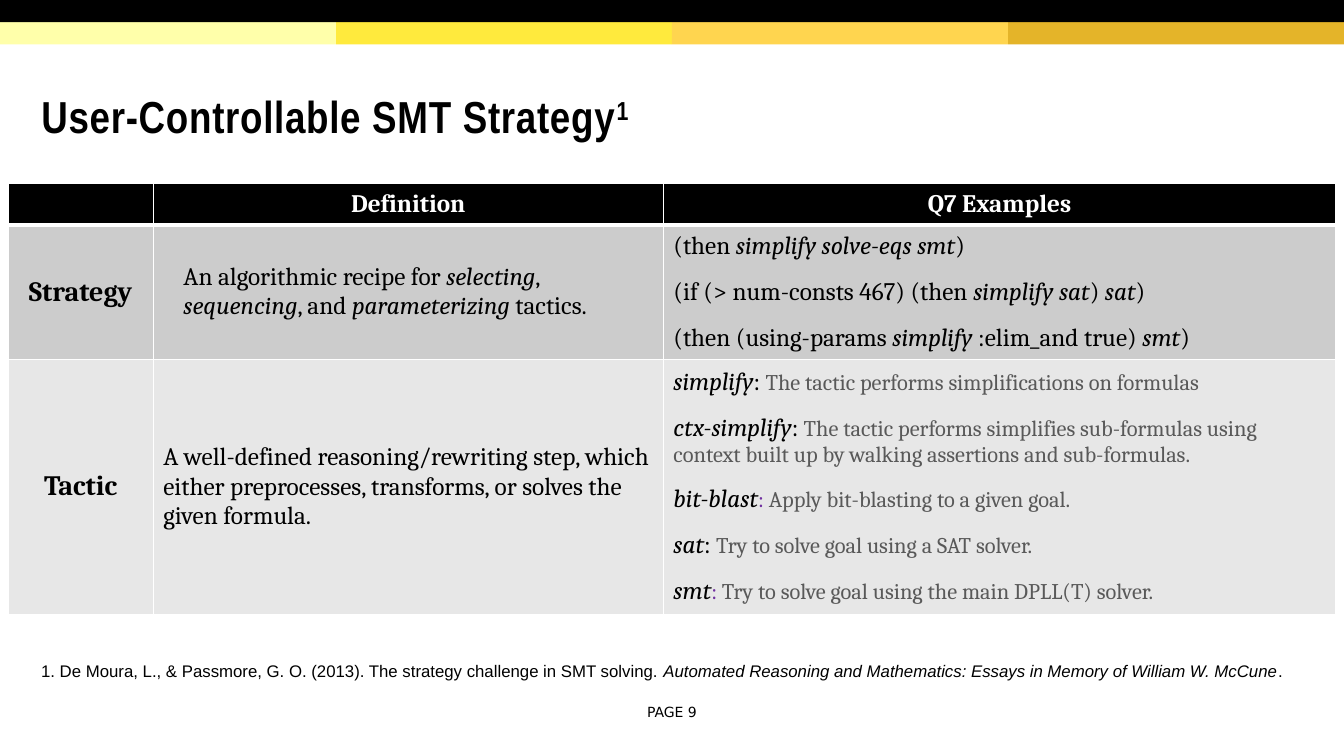
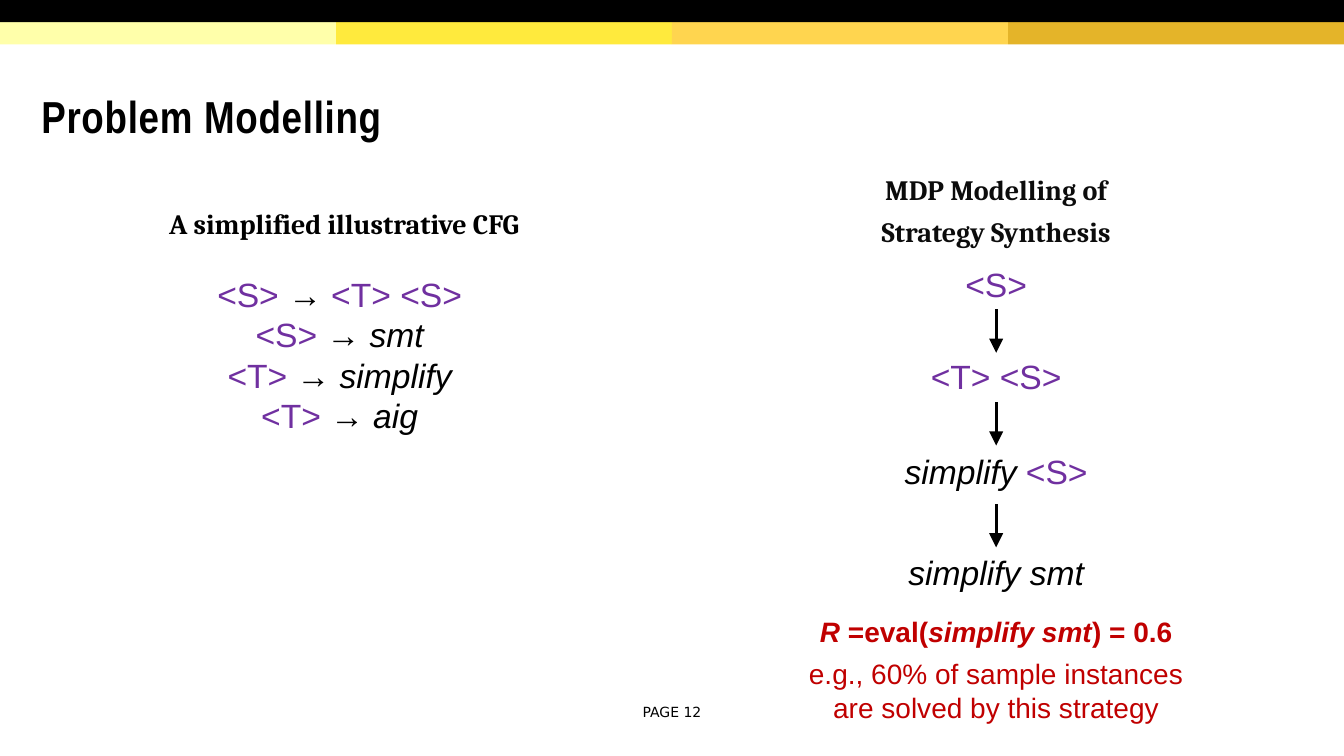
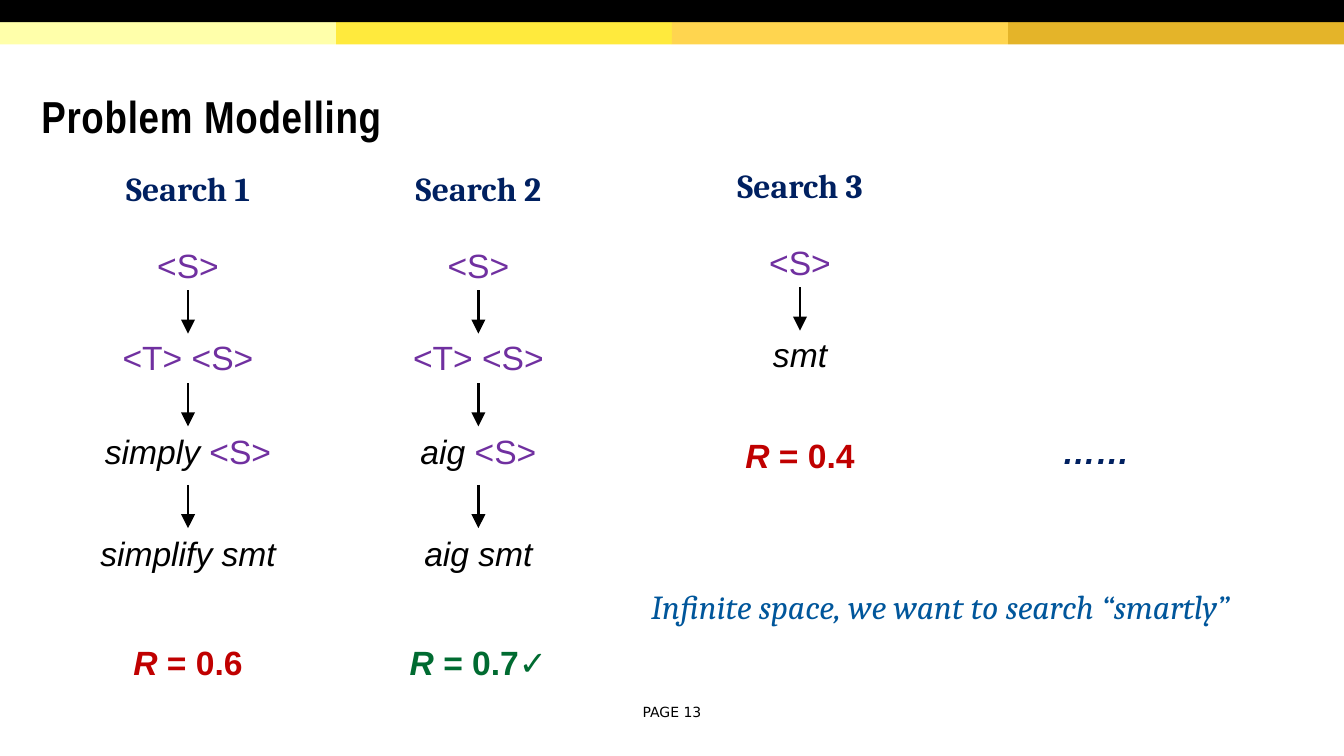
from dataclasses import dataclass
from lxml.etree import SubElement
from pptx import Presentation
from pptx.dml.color import RGBColor
from pptx.enum.shapes import MSO_CONNECTOR, MSO_SHAPE
from pptx.enum.text import MSO_ANCHOR, MSO_AUTO_SIZE, PP_ALIGN
from pptx.oxml.ns import qn
from pptx.util import Inches, Pt


@dataclass(frozen=True)
class Theme:
    black: str = "000000"
    white: str = "FFFFFF"
    bands: tuple = ("FFFFAA", "FFEA3D", "FFD54F", "E4B429")
    strategy_row: str = "CCCCCC"
    tactic_row: str = "E7E7E7"
    description: str = "595959"
    heading: str = "0C0C0C"
    symbol: str = "7030A0"
    search: str = "002060"
    reward: str = "C00000"
    best_reward: str = "006B31"
    remark: str = "00569B"
    title_font: str = "Arial Narrow"
    serif: str = "Cambria"
    sans: str = "Arial"
    page_font: str = "DejaVu Sans"
    title_size: int = 32
    formula_size: int = 24
    heading_size: int = 20
    table_size: int = 18
    description_size: int = 16
    citation_size: int = 12
    page_size: int = 10


@dataclass(frozen=True)
class Box:
    left: float
    top: float
    width: float
    height: float = 0.5

    def lengths(self):
        return [Inches(side) for side in (self.left, self.top, self.width, self.height)]


THEME = Theme()
SLIDE_WIDTH, SLIDE_HEIGHT = 13.33, 7.5
BAND_HEIGHT = 0.22
STEP_TOPS = (0, 0.91, 1.85, 2.86)
ARROW_TOPS = (0.5, 1.42, 2.43)
ARROW_LENGTH = 0.43

STRATEGIES = (
    "(then *simplify solve-eqs smt*)",
    "(if (> num-consts 467) (then *simplify sat*) *sat*)",
    "(then (using-params *simplify* :elim_and true) *smt*)",
)
TACTICS = (
    ("simplify", "The tactic performs simplifications on formulas", False),
    ("ctx-simplify", "The tactic performs simplifies sub-formulas using context "
     "built up by walking assertions and sub-formulas.", False),
    ("bit-blast", "Apply bit-blasting to a given goal.", True),
    ("sat", "Try to solve goal using a SAT solver.", False),
    ("smt", "Try to solve goal using the main DPLL(T) solver.", True),
)


def write(paragraph, text, size=THEME.formula_size, font=THEME.sans, color=THEME.black,
          bold=False, italic=False, align=None, after=None, spacing=None,
          tracking=None, baseline=None):
    if align is not None:
        paragraph.alignment = align
    if after is not None:
        paragraph.space_after = Pt(after)
    if spacing is not None:
        paragraph.line_spacing = spacing
    for index, part in enumerate(text.split("*")):
        if not part:
            continue
        run = paragraph.add_run()
        run.text = part
        run.font.size = Pt(size)
        run.font.name = font
        run.font.bold = bold
        run.font.italic = italic or index % 2 == 1
        run.font.color.rgb = RGBColor.from_string(color)
        for name, value in (("spc", tracking), ("baseline", baseline)):
            if value is not None:
                run._r.get_or_add_rPr().set(name, str(value))


def next_paragraph(frame):
    return frame.add_paragraph() if frame.text else frame.paragraphs[0]


def text_area(slide, box, anchor=MSO_ANCHOR.TOP):
    frame = slide.shapes.add_textbox(*box.lengths()).text_frame
    frame.word_wrap = True
    frame.vertical_anchor = anchor
    return frame


def label(slide, box, text, anchor=MSO_ANCHOR.TOP, align=PP_ALIGN.CENTER, **style):
    write(text_area(slide, box, anchor).paragraphs[0], text, align=align, **style)


def write_formula(paragraph, formula):
    paragraph.alignment = PP_ALIGN.CENTER
    for index, token in enumerate(formula.split(" ")):
        is_symbol = token.startswith("<")
        write(paragraph, " " + token if index else token,
              color=THEME.symbol if is_symbol else THEME.black,
              italic=not is_symbol and token != "→")


def draw_band(slide, box, color):
    band = slide.shapes.add_shape(MSO_SHAPE.RECTANGLE, *box.lengths())
    band.shadow.inherit = False
    band.fill.solid()
    band.fill.fore_color.rgb = RGBColor.from_string(color)
    band.line.fill.background()


def start_slide(deck, heading, page, note=""):
    slide = deck.slides.add_slide(deck.slide_layouts[5])
    band_width = SLIDE_WIDTH / len(THEME.bands)
    for index, color in enumerate(THEME.bands):
        draw_band(slide, Box(index * band_width, BAND_HEIGHT, band_width, BAND_HEIGHT), color)
    draw_band(slide, Box(0, 0, SLIDE_WIDTH, BAND_HEIGHT), THEME.black)

    title = slide.shapes.title
    title.left, title.top, title.width, title.height = Box(0.31, 0.7, 12.72, 0.98).lengths()
    title.text_frame.auto_size = MSO_AUTO_SIZE.NONE
    title.text_frame.vertical_anchor = MSO_ANCHOR.MIDDLE
    style = dict(size=THEME.title_size, font=THEME.title_font, bold=True, tracking=50)
    paragraph = title.text_frame.paragraphs[0]
    write(paragraph, heading, align=PP_ALIGN.LEFT, spacing=0.85, **style)
    write(paragraph, note, baseline=30000, **style)

    label(slide, Box(6.11, 6.93, 1.11, 0.27), f"PAGE {page}", anchor=MSO_ANCHOR.MIDDLE,
          size=THEME.page_size, font=THEME.page_font)
    return slide


def format_cell(cell, color, bottom=1):
    properties = cell._tc.get_or_add_tcPr()
    for side, points in (("L", 1), ("R", 1), ("T", 1), ("B", bottom)):
        border = SubElement(properties, qn(f"a:ln{side}"), w=str(Pt(points)))
        border_fill = SubElement(border, qn("a:solidFill"))
        SubElement(border_fill, qn("a:srgbClr"), val=THEME.white)
    cell.fill.solid()
    cell.fill.fore_color.rgb = RGBColor.from_string(color)
    cell.vertical_anchor = MSO_ANCHOR.MIDDLE


def draw_definitions(slide, box):
    definition_frame = slide.shapes.add_table(3, 3, *box.lengths())
    table = definition_frame.table
    for column, width in zip(table.columns, (1.44, 5.06, 6.67)):
        column.width = Inches(width)
    for row in table.rows:
        row.height = Inches(0.41)
    definition_frame.height = Inches(box.height)
    for index, color in enumerate((THEME.black, THEME.strategy_row, THEME.tactic_row)):
        for cell in table.rows[index].cells:
            format_cell(cell, color, bottom=1 if index else 3)

    body = dict(size=THEME.table_size, font=THEME.serif)
    for column, heading in ((1, "Definition"), (2, "Q7 Examples")):
        write(table.cell(0, column).text_frame.paragraphs[0], heading,
              color=THEME.white, bold=True, align=PP_ALIGN.CENTER, **body)
    definitions = (
        ("Strategy", "An algorithmic recipe for *selecting*, *sequencing*, "
         "and *parameterizing* tactics."),
        ("Tactic", "A well-defined reasoning/rewriting step, which either "
         "preprocesses, transforms, or solves the given formula."),
    )
    for row, (term, definition) in enumerate(definitions, 1):
        write(table.cell(row, 0).text_frame.paragraphs[0], term, size=THEME.heading_size,
              font=THEME.serif, bold=True, align=PP_ALIGN.CENTER)
        write(table.cell(row, 1).text_frame.paragraphs[0], definition, **body)
    table.cell(1, 1).margin_left = Inches(0.3)

    for strategy in STRATEGIES:
        write(next_paragraph(table.cell(1, 2).text_frame), strategy, after=12, **body)
    detail = dict(size=THEME.description_size, font=THEME.serif)
    for tactic, description, purple_colon in TACTICS:
        paragraph = next_paragraph(table.cell(2, 2).text_frame)
        write(paragraph, tactic, italic=True, after=12, **body)
        colon_style = dict(detail, color=THEME.symbol) if purple_colon else body
        write(paragraph, ": ", **colon_style)
        write(paragraph, description, color=THEME.description, **detail)


def draw_arrow(slide, center, top):
    arrow = slide.shapes.add_connector(
        MSO_CONNECTOR.STRAIGHT, Inches(center), Inches(top),
        Inches(center), Inches(top + ARROW_LENGTH))
    arrow.line.color.rgb = RGBColor.from_string(THEME.black)
    arrow.line.width = Pt(2)
    SubElement(arrow.line._get_or_add_ln(), qn("a:tailEnd"), type="triangle", w="lg", len="lg")
    SubElement(arrow._element.spPr, qn("a:effectLst"))


def draw_derivation(slide, box, steps):
    for step, offset in zip(steps, STEP_TOPS):
        frame = text_area(slide, Box(box.left, box.top + offset, box.width))
        write_formula(frame.paragraphs[0], step)
    for offset in ARROW_TOPS[:len(steps) - 1]:
        draw_arrow(slide, box.left + box.width / 2, box.top + offset)


def draw_grammar(slide, box):
    frame = text_area(slide, box)
    write(frame.paragraphs[0], "A simplified illustrative CFG", size=THEME.heading_size,
          font=THEME.serif, bold=True, align=PP_ALIGN.CENTER, after=24)
    for rule in ("<S> → <T> <S> ", "<S> → smt ", "<T> → simplify ", "<T> → aig "):
        write_formula(next_paragraph(frame), rule)


def draw_synthesis(slide, box):
    heading = text_area(slide, Box(box.left, box.top, box.width, 0.86))
    for line in ("MDP Modelling of", "Strategy Synthesis"):
        write(next_paragraph(heading), line, size=THEME.heading_size, font=THEME.serif,
              color=THEME.heading, bold=True, align=PP_ALIGN.CENTER, after=6)
    draw_derivation(slide, Box(box.left + (box.width - 2.11) / 2, box.top + 0.91, 2.11),
                    ("<S>", "<T> <S>", "simplify <S>", "simplify smt"))
    reward = text_area(slide, Box(box.left, box.top + 4.39, box.width, 1.19))
    style = dict(size=THEME.heading_size, color=THEME.reward, align=PP_ALIGN.CENTER)
    write(reward.paragraphs[0], "*R* =eval(*simplify smt*) = 0.6", bold=True, after=6, **style)
    for line in ("e.g., 60% of sample instances", "are solved by this strategy"):
        write(next_paragraph(reward), line, **style)


def draw_search(slide, box, heading, steps, reward, reward_color=THEME.reward):
    label(slide, Box(box.left, box.top, box.width), heading,
          font=THEME.serif, color=THEME.search, bold=True)
    draw_derivation(slide, Box(box.left, box.top + 0.76, box.width), steps)
    label(slide, Box(box.left, box.top + box.height, box.width), reward,
          color=reward_color, bold=True, after=6)


def build_strategy_slide(deck):
    slide = start_slide(deck, "User-Controllable SMT Strategy", 9, note="1")
    draw_definitions(slide, Box(0.08, 1.82, 13.17, 4.27))
    label(slide, Box(0.31, 6.48, 12.86, 0.32),
          "1. De Moura, L., & Passmore, G. O. (2013). The strategy challenge in SMT solving. "
          "*Automated Reasoning and Mathematics: Essays in Memory of William W. McCune*.",
          align=PP_ALIGN.LEFT, size=THEME.citation_size, spacing=1.15)


def build_modelling_slide(deck):
    slide = start_slide(deck, "Problem Modelling", 12)
    draw_grammar(slide, Box(0.26, 2, 6.31, 2.39))
    draw_synthesis(slide, Box(7.16, 1.66, 5.44, 5.58))


def build_search_slide(deck):
    slide = start_slide(deck, "Problem Modelling", 13)
    draw_search(slide, Box(0.81, 1.62, 2.11, 4.7), "Search 1",
                ("<S>", "<T> <S>", "simply <S>", "simplify smt"), "*R* = 0.6")
    draw_search(slide, Box(3.69, 1.62, 2.11, 4.7), "Search 2",
                ("<S>", "<T> <S>", "aig <S>", "aig smt"), "*R* = 0.7✓", THEME.best_reward)
    draw_search(slide, Box(6.88, 1.59, 2.11, 2.68), "Search 3", ("<S>", "smt"), "*R* = 0.4")
    label(slide, Box(9.69, 4.23, 2.36), "……", color=THEME.search,
          bold=True, italic=True, after=6)
    label(slide, Box(6.36, 5.76, 6.67), "Infinite space, we want to search “smartly”",
          align=PP_ALIGN.LEFT, font=THEME.serif, color=THEME.remark, italic=True)


def main():
    deck = Presentation()
    deck.slide_width, deck.slide_height = Inches(SLIDE_WIDTH), Inches(SLIDE_HEIGHT)
    build_strategy_slide(deck)
    build_modelling_slide(deck)
    build_search_slide(deck)
    deck.save("out.pptx")


if __name__ == "__main__":
    main()
